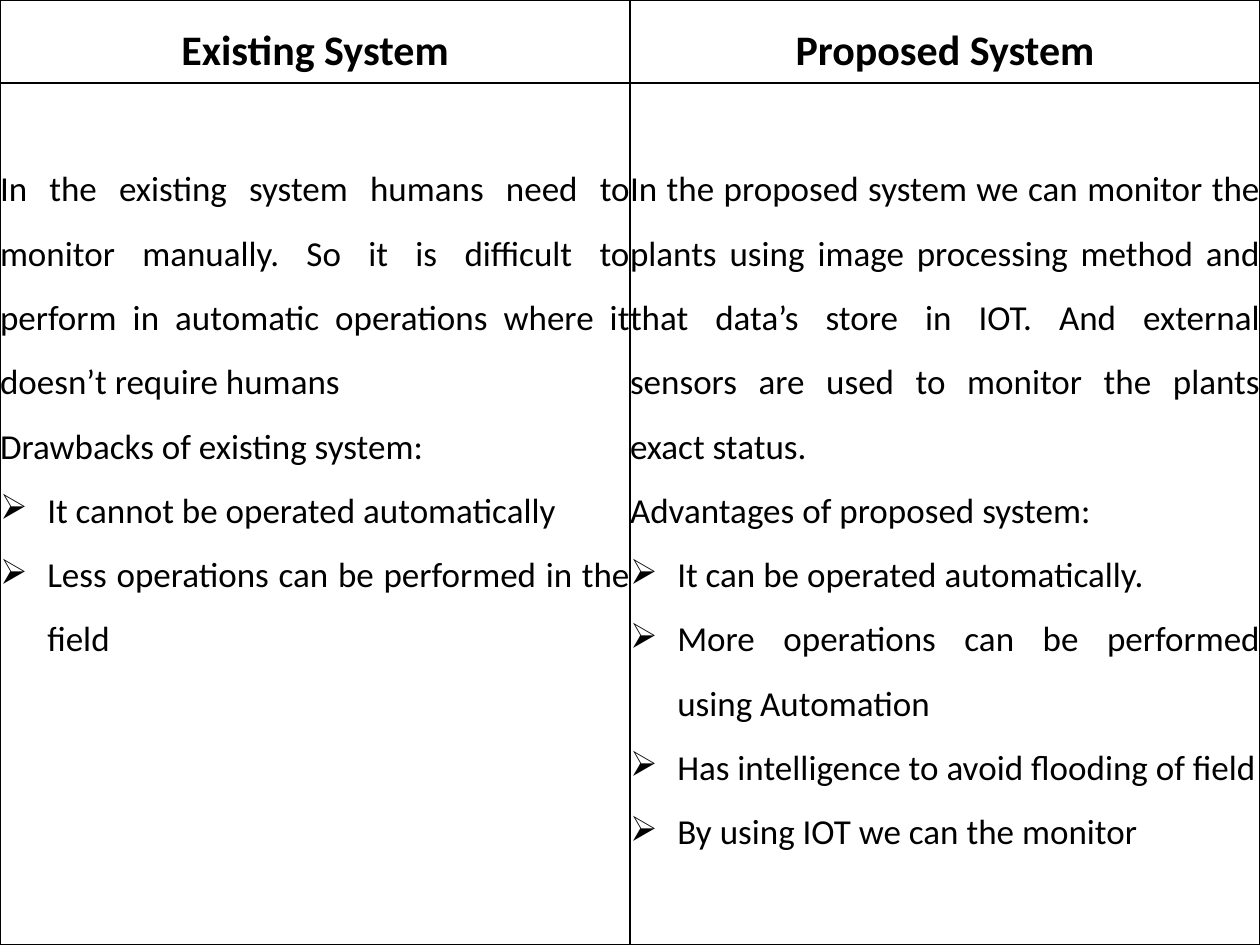
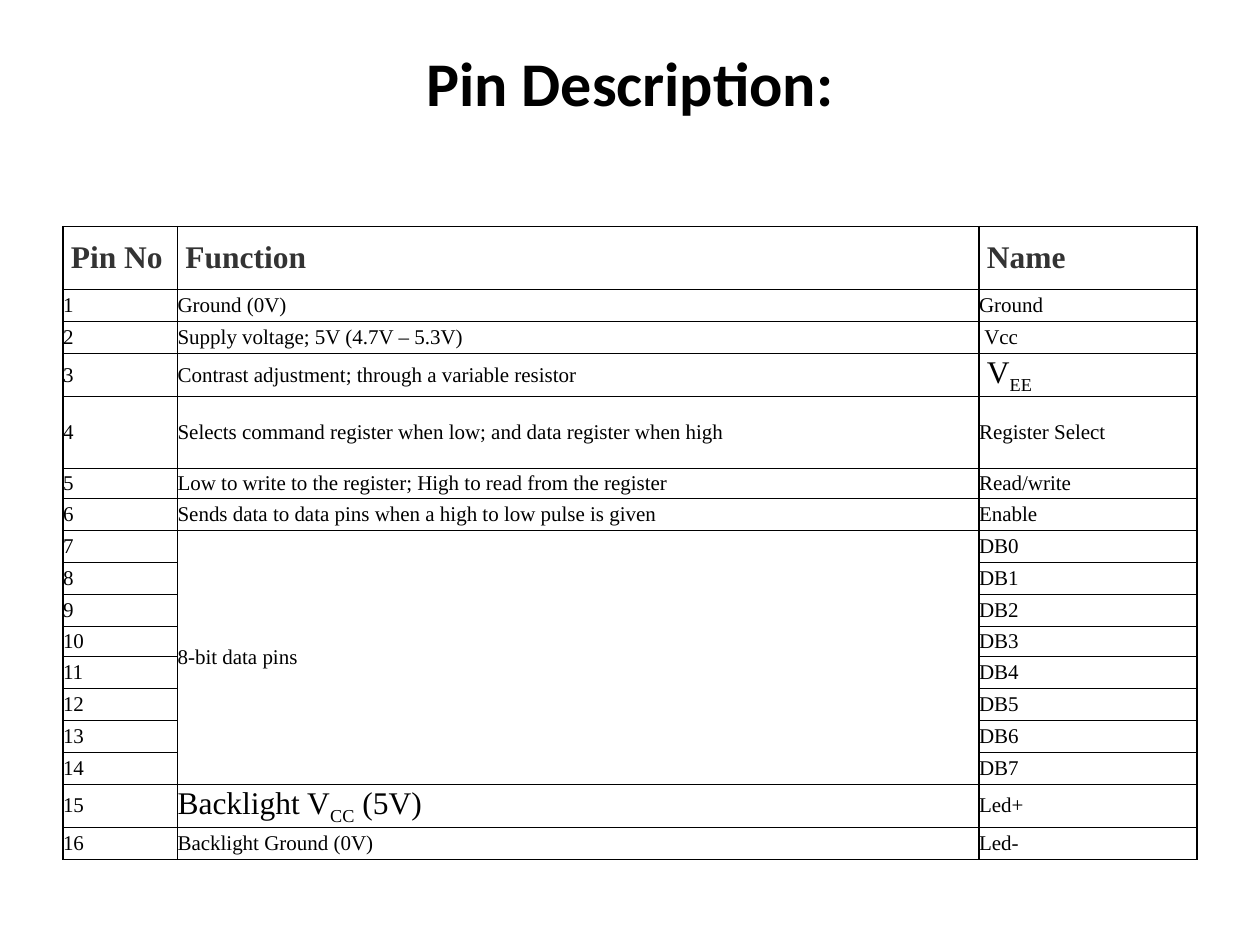
from dataclasses import dataclass

from lxml.etree import SubElement
from pptx import Presentation
from pptx.dml.color import RGBColor
from pptx.enum.text import MSO_ANCHOR as Anchor, PP_ALIGN as Align
from pptx.oxml.ns import qn
from pptx.util import Pt

BLACK, WHITE, GREY = "000000", "FFFFFF", "333333"
SANS, SERIF = "Calibri", "Times New Roman"
SLIDE_WIDTH, SLIDE_HEIGHT = 720, 540
BULLET, BULLET_INDENT = "➢", 27


@dataclass(frozen=True)
class Style:
    font: str
    size: float
    bold: bool = False
    color: str = BLACK


@dataclass(frozen=True)
class Entry:
    """Cell text with an optional subscript and the text that follows it."""
    text: str
    style: Style
    subscript: str = ""
    tail: str = ""
    indent: float = 0


@dataclass(frozen=True)
class System:
    heading: str
    summary: str
    list_title: str
    points: tuple[str, ...]


TITLE = Style(SANS, 35.5, True)
SYSTEM_HEADING = Style(SANS, 24, True)
SYSTEM_BODY = Style(SANS, 20)
PIN_HEADING = Style(SERIF, 18, True, GREY)
PIN_BODY = Style(SERIF, 12)
PIN_LARGE = Style(SERIF, 18)

SYSTEMS = (
    System(
        "Existing System",
        "In the existing system humans need to monitor manually. So it is difficult "
        "to perform in automatic operations where it doesn’t require humans",
        "Drawbacks of existing system:",
        ("It cannot be operated automatically",
         "Less operations can be performed in the field"),
    ),
    System(
        "Proposed System",
        "In the proposed system we can monitor the plants using image processing "
        "method and that data’s store in IOT. And external sensors are used to "
        "monitor the plants exact status.",
        "Advantages of proposed system:",
        ("It can be operated automatically.",
         "More operations can be performed using Automation",
         "Has intelligence to avoid flooding of field",
         "By using IOT we can the monitor"),
    ),
)

# Function and name of each pin, in pin order
DATA_PINS = range(7, 15)
PINS = [
    ("Ground (0V)", "Ground"),
    ("Supply voltage; 5V (4.7V – 5.3V)", Entry("Vcc", PIN_BODY, indent=3)),
    ("Contrast adjustment; through a variable resistor",
     Entry("V", PIN_LARGE, "EE", indent=4.5)),
    ("Selects command register when low; and data register when high",
     "Register Select"),
    ("Low to write to the register; High to read from the register", "Read/write"),
    ("Sends data to data pins when a high to low pulse is given", "Enable"),
    *[("8-bit data pins" if bit == 0 else "", f"DB{bit}")
      for bit in range(len(DATA_PINS))],
    (Entry("Backlight V", PIN_LARGE, "CC", " (5V)"), "Led+"),
    ("Backlight Ground (0V)", "Led-"),
]
PIN_COLUMNS = (65.5, 458, 124.5)
HEADER_HEIGHT, PIN_HEIGHT = 36, 18.3
SPECIAL_HEIGHTS = {4: 41, 5: 17.2, 10: 17.2}


def rgb(value: str) -> RGBColor:
    return RGBColor.from_string(value)


def format_paragraph(paragraph, style: Style, align, spacing: float = 1) -> None:
    paragraph.alignment = align
    paragraph.line_spacing = spacing
    for run in paragraph.runs:
        font = run.font
        font.name, font.size, font.bold = style.font, Pt(style.size), style.bold
        font.color.rgb = rgb(style.color)


def add_bullet(paragraph) -> None:
    properties = paragraph._p.get_or_add_pPr()
    properties.set("marL", str(Pt(BULLET_INDENT)))
    properties.set("indent", str(-Pt(BULLET_INDENT)))
    SubElement(properties, qn("a:buChar")).set("char", BULLET)


def format_cell(cell) -> None:
    """White cell without margins and with a thin black border."""
    cell.margin_left = cell.margin_right = cell.margin_top = cell.margin_bottom = 0
    properties = cell._tc.get_or_add_tcPr()
    for side in ("a:lnL", "a:lnR", "a:lnT", "a:lnB"):
        line = SubElement(properties, qn(side), w=str(Pt(1)))
        fill = SubElement(line, qn("a:solidFill"))
        SubElement(fill, qn("a:srgbClr")).set("val", BLACK)
    cell.fill.solid()
    cell.fill.fore_color.rgb = rgb(WHITE)


def add_grid(slide, left: float, top: float, widths, heights):
    frame = slide.shapes.add_table(len(heights), len(widths), Pt(left), Pt(top),
                                   Pt(sum(widths)), Pt(sum(heights)))
    table = frame.table
    table.first_row = table.horz_banding = False
    for column, width in zip(table.columns, widths):
        column.width = Pt(width)
    for row, height in zip(table.rows, heights):
        row.height = Pt(height)
    for cell in table.iter_cells():
        format_cell(cell)
    return table


def write_entry(cell, entry: Entry) -> None:
    cell.vertical_anchor = Anchor.MIDDLE
    cell.margin_left = Pt(entry.indent)
    paragraph = cell.text_frame.paragraphs[0]
    paragraph.text = entry.text
    for text, baseline in ((entry.subscript, "-25000"), (entry.tail, "0")):
        if text:
            run = paragraph.add_run()
            run.text = text
            run._r.get_or_add_rPr().set("baseline", baseline)
    format_paragraph(paragraph, entry.style, Align.JUSTIFY)


def build_systems_slide(slide) -> None:
    heading_height = 47.5
    table = add_grid(slide, 0, 0, [SLIDE_WIDTH / 2] * 2,
                     [heading_height, SLIDE_HEIGHT - heading_height])
    for column, system in enumerate(SYSTEMS):
        heading = table.cell(0, column).text_frame
        heading.text = system.heading
        format_paragraph(heading.paragraphs[0], SYSTEM_HEADING, Align.CENTER, 1.5)

        body = table.cell(1, column)
        body.margin_top = Pt(36.6)
        texts = (system.summary, system.list_title, *system.points)
        body.text_frame.text = "\n".join(texts)
        for text, paragraph in zip(texts, body.text_frame.paragraphs):
            if text in system.points:
                add_bullet(paragraph)
            format_paragraph(paragraph, SYSTEM_BODY, Align.JUSTIFY, 1.5)


def build_pins_slide(slide) -> None:
    # Title
    title = slide.shapes.add_textbox(Pt(36), Pt(21.6), Pt(648), Pt(90)).text_frame
    title.word_wrap = True
    title.vertical_anchor = Anchor.TOP
    title.text = "Pin Description:"
    format_paragraph(title.paragraphs[0], TITLE, Align.CENTER)

    # Pin table
    heights = [HEADER_HEIGHT] + [SPECIAL_HEIGHTS.get(pin, PIN_HEIGHT)
                                 for pin in range(1, len(PINS) + 1)]
    table = add_grid(slide, 36, 129.5, PIN_COLUMNS, heights)
    table.cell(DATA_PINS[0], 1).merge(table.cell(DATA_PINS[-1], 1))
    for column, heading in enumerate(("Pin No", "Function", "Name")):
        write_entry(table.cell(0, column), Entry(heading, PIN_HEADING, indent=4.5))
    for pin, (function, name) in enumerate(PINS, start=1):
        for column, value in enumerate((str(pin), function, name)):
            cell = table.cell(pin, column)
            if not cell.is_spanned:
                entry = value if isinstance(value, Entry) else Entry(value, PIN_BODY)
                write_entry(cell, entry)


def main() -> None:
    presentation = Presentation()
    presentation.slide_width = Pt(SLIDE_WIDTH)
    presentation.slide_height = Pt(SLIDE_HEIGHT)
    blank = presentation.slide_layouts[6]
    for build in (build_systems_slide, build_pins_slide):
        build(presentation.slides.add_slide(blank))
    presentation.save("out.pptx")


if __name__ == "__main__":
    main()
